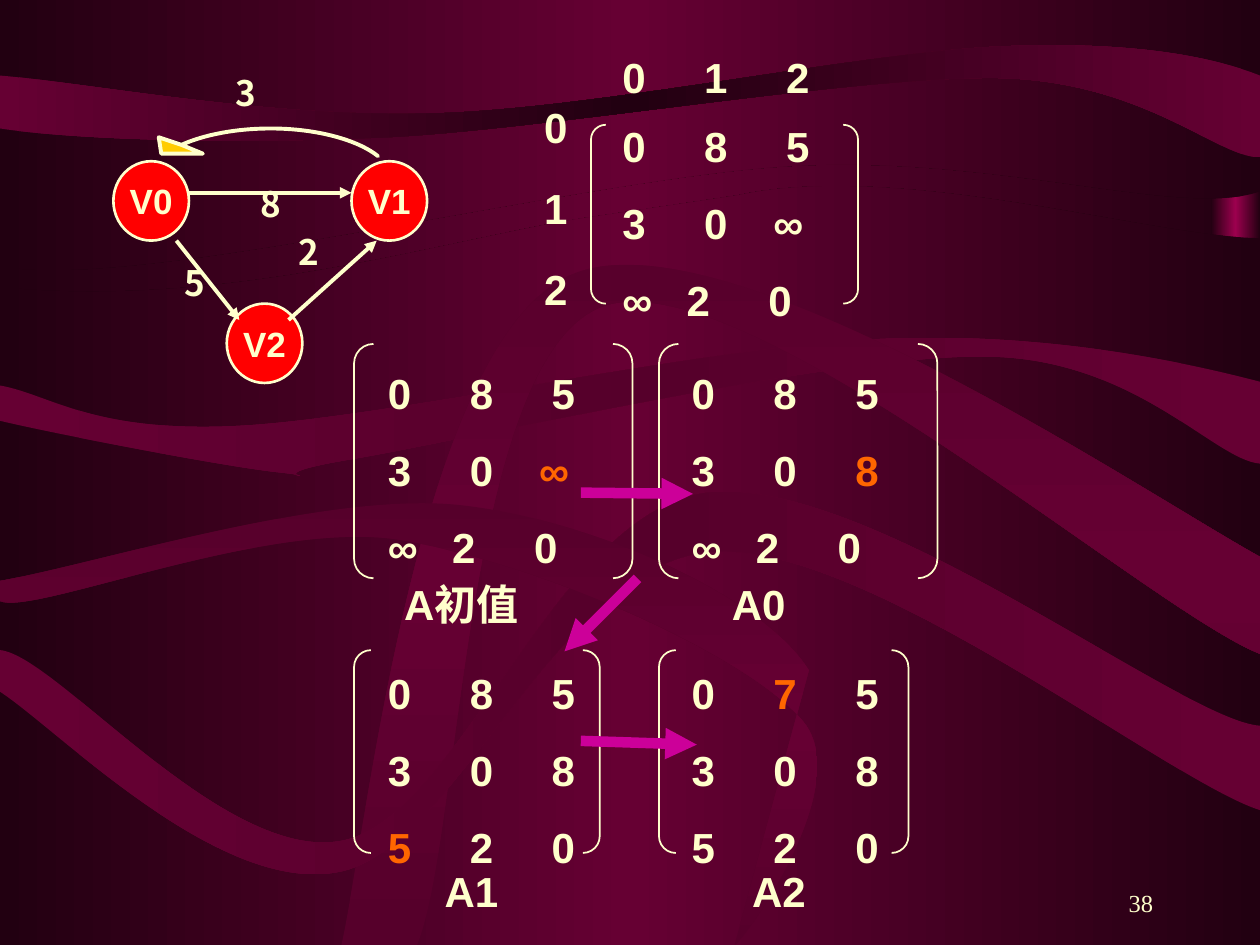
import itertools

import lxml.etree
import pptx
import pptx.dml.color
import pptx.enum.shapes
import pptx.enum.text
import pptx.oxml.ns
import pptx.util

COLORS = {
    "dark": "220011", "wine": "660033", "plum": "56002B", "glow": "9C004E",
    "cream": "FFFFCC", "red": "FF0000", "gold": "FFCC00",
    "highlight": "FF6600", "arrow": "CC0099",
}
SHAPES = pptx.enum.shapes.MSO_SHAPE
ALIGN = pptx.enum.text.PP_ALIGN
ANCHOR = pptx.enum.text.MSO_ANCHOR
DARK_EDGES = ("dark", "wine", "dark")
WINE_EDGES = ("wine", "plum", "wine")
PLUM_EDGES = ("plum", "wine", "plum")

# Outlines: a start point, then points (x, y) or Bezier segments of six numbers.
UPPER_FIELD = [(0, 0), (10, 0), (10, 1.52), (9.38, 1.74, 7.92, 1.22, 6.25, 1.32),
               (4.58, 1.42, 1.04, 2.33, 0, 2.11), (0, 0)]
LOWER_FIELD = [(0, 2.28), (1.78, 2.45, 3.4, 1.94, 4.58, 1.74),
               (4.58, 1.74, 5.67, 1.58, 5.86, 1.55), (7.15, 1.27, 9.17, 1.89, 10, 1.89),
               (10, 7.5), (0, 7.5), (0, 7.5, 0, 2.28, 0, 2.28)]
TOP_RIBBON = [(0, 0.6), (0, 1.02), (0.51, 1.1, 1.76, 1.15, 3.08, 1.09),
              (4.4, 1.02, 6.79, 0.6, 7.94, 0.62), (9.09, 0.65, 9.66, 1.25, 10, 1.25),
              (10, 0.6), (9.65, 0.46, 9.01, 0.32, 7.92, 0.37),
              (6.82, 0.42, 4.77, 0.86, 3.45, 0.9), (2.13, 0.94, 0.72, 0.66, 0, 0.6)]
MIDDLE_RIBBON = [(0, 3.06), (0, 3.34), (0.37, 3.43, 1.75, 3.7, 2.22, 3.75),
                 (2.69, 3.8, 1.9, 3.79, 2.82, 3.64), (3.75, 3.48, 6.6, 2.82, 7.8, 2.83),
                 (9, 2.83, 9.63, 3.65, 10, 3.68), (10, 3.03),
                 (9.5, 2.9, 8.36, 2.63, 7.01, 2.69), (5.66, 2.74, 3.07, 3.32, 1.9, 3.38),
                 (0.73, 3.44, 0.4, 3.13, 0, 3.06)]
ARCH_RIBBON = [(2.71, 7.5), (2.91, 6.61, 3.32, 2.69, 4.54, 2.18),
               (5.75, 1.66, 9.09, 3.92, 10, 4.42), (10, 5.19),
               (9.13, 4.85, 5.91, 2.05, 4.79, 2.43), (3.68, 2.82, 3.66, 6.66, 3.31, 7.5),
               (2.71, 7.5)]
WAVE_RIBBON = [(0, 5.16), (0, 5.49), (0.45, 5.78, 1.74, 7.11, 2.69, 6.92),
               (3.63, 6.74, 4.43, 4.46, 5.65, 4.38), (6.87, 4.29, 9.27, 6.2, 10, 6.43),
               (10, 5.76), (9.38, 5.72, 6.91, 3.77, 5.62, 3.91),
               (4.41, 4.06, 3.67, 6.46, 2.73, 6.67), (1.79, 6.87, 0.45, 5.2, 0, 5.16)]
HOOK_RIBBON = [(0, 4.61), (0, 4.77), (0.26, 4.89, 2.08, 4.13, 3.14, 4.28),
               (4.2, 4.44, 5.92, 5.18, 6.37, 5.72), (6.82, 6.25, 5.82, 7.57, 5.83, 7.5),
               (6.42, 5.32), (6.06, 4.74, 4.73, 4.13, 3.66, 4.01),
               (2.59, 3.89, 0.76, 4.48, 0, 4.61)]
RETURN_ARROW = [(1.44, 1.15), (1.62, 1.07, 1.87, 1.02, 2.15, 1.02),
                (2.51, 1.02, 2.84, 1.11, 3, 1.24), (2.84, 1.11, 2.51, 1.02, 2.15, 1.02),
                (1.87, 1.02, 1.62, 1.07, 1.44, 1.15), (1.26, 1.09), (1.28, 1.22),
                (1.61, 1.22), (1.44, 1.15)]


def length(inches):
    return pptx.util.Cm(inches * 2.54)


def rgb(name):
    return pptx.dml.color.RGBColor.from_string(COLORS[name])


def add_element(parent, tag, **attributes):
    return lxml.etree.SubElement(parent, pptx.oxml.ns.qn(tag), attributes)


def set_gradient(fill, element, names, angle=0):
    """Spread the named colours evenly over a linear gradient."""
    fill.gradient()
    fill.gradient_angle = angle
    stops = element.find(".//" + pptx.oxml.ns.qn("a:gsLst"))
    for stop in list(stops):
        stops.remove(stop)
    for index, name in enumerate(names):
        stop = add_element(stops, "a:gs", pos=str(index * 100000 // (len(names) - 1)))
        add_element(stop, "a:srgbClr", val=COLORS[name])


def bend(shape, outline):
    """Merge the three lines drawn for each Bezier segment into one curve."""
    lines = iter(shape._element.findall(".//" + pptx.oxml.ns.qn("a:lnTo")))
    for segment in outline[1:]:
        first, *others = itertools.islice(lines, len(segment) // 2)
        if others:
            curve = first.makeelement(pptx.oxml.ns.qn("a:cubicBezTo"))
            first.addprevious(curve)
            for line in (first, *others):
                curve.append(line[0])
                line.getparent().remove(line)


def write(paragraph, text, size=24, font="Arial", color="cream", bold=True):
    run = paragraph.add_run()
    run.text = text
    run.font.size = pptx.util.Pt(size)
    run.font.name = font
    run.font.bold = bold
    run.font.color.rgb = rgb(color)
    add_element(run.font._element, "a:ea", typeface="Noto Sans CJK SC")


class Board:
    """Holds the line style and the current slide."""

    def __init__(self, slide, line_color="cream"):
        self.slide = slide
        self.line_color = line_color

    def freeform(self, outline, gradient=None, angle=0, corners=()):
        """Draw a closed outline; corners widen its frame beyond the points."""
        points = [tuple(map(length, segment[index:index + 2]))
                  for segment in outline for index in range(0, len(segment), 2)]
        builder = self.slide.shapes.build_freeform(*points[0], scale=1.0)
        builder.add_line_segments(points[1:], close=True)
        for corner in corners:
            builder.move_to(*map(length, corner))
        shape = builder.convert_to_shape()
        for move in shape._element.findall(".//" + pptx.oxml.ns.qn("a:moveTo"))[1:]:
            move.getparent().remove(move)
        bend(shape, outline)
        shape.shadow.inherit = False
        if gradient:
            set_gradient(shape.fill, shape._element, gradient, angle)
            shape.line.fill.background()
        return shape

    def preset(self, kind, box, line_width=1):
        shape = self.slide.shapes.add_shape(kind, *map(length, box))
        shape.shadow.inherit = False
        shape.fill.background()
        shape.line.color.rgb = rgb(self.line_color)
        shape.line.width = pptx.util.Pt(line_width)
        return shape

    def node(self, text, left, top):
        shape = self.preset(SHAPES.OVAL, (left, top, 0.6, 0.63), 1.5)
        shape.fill.solid()
        shape.fill.fore_color.rgb = rgb("red")
        shape.text_frame.word_wrap = False
        paragraph = shape.text_frame.paragraphs[0]
        paragraph.alignment = ALIGN.CENTER
        write(paragraph, text, size=20)

    def bracket(self, box):
        self.preset(SHAPES.DOUBLE_BRACKET, box).adjustments[0] = 0.083

    def arrow(self, start, end, color="cream", width=2.25):
        line = self.slide.shapes.add_connector(
            pptx.enum.shapes.MSO_CONNECTOR.STRAIGHT, *map(length, start + end))
        line.line.color.rgb = rgb(color)
        line.line.width = pptx.util.Pt(width)
        add_element(line.line._get_or_add_ln(), "a:tailEnd", type="triangle")
        add_element(line._element.spPr, "a:effectLst")

    def frame(self, box, anchor=ANCHOR.TOP):
        frame = self.slide.shapes.add_textbox(*map(length, box)).text_frame
        frame.word_wrap = True
        frame.vertical_anchor = anchor
        return frame

    def label(self, text, box, align=ALIGN.LEFT, anchor=ANCHOR.TOP, **style):
        paragraph = self.frame(box, anchor).paragraphs[0]
        paragraph.alignment = align
        paragraph.line_spacing = pptx.util.Pt(1.2 * style.get("size", 24))
        write(paragraph, text, **style)

    def rows(self, rows, box, leading=28.8, gap=15, changed=None):
        """Write rows of figures; changed is the (row, column) to highlight."""
        frame = self.frame(box)
        for row, cells in enumerate(rows):
            paragraph = frame.add_paragraph() if row else frame.paragraphs[0]
            stops = (0.51, 1.16) if cells[0] == "∞" else (0.65, 1.2 if cells[-1] == "∞" else 1.3)
            if len(cells) > 1:
                tabs = add_element(paragraph._p.get_or_add_pPr(), "a:tabLst")
                for stop in stops:
                    add_element(tabs, "a:tab", pos=str(int(length(stop))), algn="l")
            paragraph.line_spacing = pptx.util.Pt(leading)
            paragraph.space_before = pptx.util.Pt(gap if row else 0)
            pieces = ["\t" * (column > 0) + cell for column, cell in enumerate(cells)]
            for marked, group in itertools.groupby(
                    enumerate(pieces), lambda piece: (row, piece[0]) == changed):
                write(paragraph, "".join(text for _, text in group),
                      color="highlight" if marked else "cream")


def main():
    presentation = pptx.Presentation()
    presentation.slide_width, presentation.slide_height = length(10), length(7.5)
    slide = presentation.slides.add_slide(presentation.slide_layouts[6])
    board = Board(slide)

    set_gradient(slide.background.fill, slide._element, DARK_EDGES)
    glow = board.preset(SHAPES.RECTANGLE, (9.61, 0.49, 0.39, 3.45))
    set_gradient(glow.fill, glow._element, ("dark", "glow", "dark"))
    glow.line.fill.background()
    for outline, gradient, angle in (
            (UPPER_FIELD, DARK_EDGES, 0), (LOWER_FIELD, DARK_EDGES, 0),
            (TOP_RIBBON, ("wine", "dark", "wine"), 0), (MIDDLE_RIBBON, WINE_EDGES, 0),
            (ARCH_RIBBON, PLUM_EDGES, 90), (WAVE_RIBBON, WINE_EDGES, 0),
            (HOOK_RIBBON, PLUM_EDGES, 90)):
        board.freeform(outline, gradient, angle)
    board.label("38", (7.17, 6.83, 2.08, 0.5), ALIGN.RIGHT, ANCHOR.BOTTOM,
                size=14, font="Times New Roman", bold=False)

    for text, left, top in (("V1", 2.79, 1.28), ("V2", 1.8, 2.41), ("V0", 0.9, 1.28)):
        board.node(text, left, top)
    for start, end in (((2.29, 2.54), (2.99, 1.91)), ((1.4, 1.91), (1.9, 2.54)),
                       ((1.5, 1.53), (2.79, 1.53))):
        board.arrow(start, end)
    return_arrow = board.freeform(RETURN_ARROW, corners=((1.2, 1.02), (3.09, 1.78)))
    return_arrow.fill.solid()
    return_arrow.fill.fore_color.rgb = rgb("gold")
    return_arrow.line.color.rgb = rgb("cream")
    return_arrow.line.width = pptx.util.Pt(2.25)
    for weight, left, top in (("5", 1.2, 2.03), ("3", 1.6, 0.52), ("8", 1.8, 1.4), ("2", 2.1, 1.78)):
        board.label(weight, (left, top, 0.7, 0.44), ALIGN.CENTER, size=20, font="Noto Sans CJK SC")

    initial = ("085", "30∞", "∞20")
    board.bracket((4.69, 0.99, 2.12, 1.42))
    board.rows(initial, (4.84, 0.91, 2.45, 1.72))
    board.rows(["012"], (4.84, 0.36, 3.55, 0.5))
    board.rows("012", (4.22, 0.84, 0.38, 1.7), leading=23, gap=23.2)
    for rows, changed, left, top, bracket in (
            (initial, (1, 2), 2.98, 2.87, (2.81, 2.73, 2.21, 1.86)),
            (("085", "308", "∞20"), (1, 2), 5.39, 2.87, (5.23, 2.73, 2.21, 1.86)),
            (("075", "308", "520"), (0, 1), 5.39, 5.25, (5.23, 5.16, 1.98, 1.61)),
            (("085", "308", "520"), (2, 0), 2.98, 5.25, (2.81, 5.16, 1.95, 1.61))):
        board.bracket(bracket)
        board.rows(rows, (left, top, 1.89, 1.72), changed=changed)
    for text, left, top, width in (("A0", 5.71, 4.54, 0.83), ("A2", 5.87, 6.82, 0.85),
                                   ("A1", 3.43, 6.82, 0.85), ("A初值", 3.11, 4.54, 1.44)):
        board.label(text, (left, top, width, 0.5))
    for start, end in (((5.06, 4.59), (4.48, 5.17)), ((4.61, 3.91), (5.5, 3.92)),
                       ((4.61, 5.88), (5.53, 5.91))):
        board.arrow(start, end, "arrow", 6)

    presentation.save("out.pptx")


if __name__ == "__main__":
    main()
